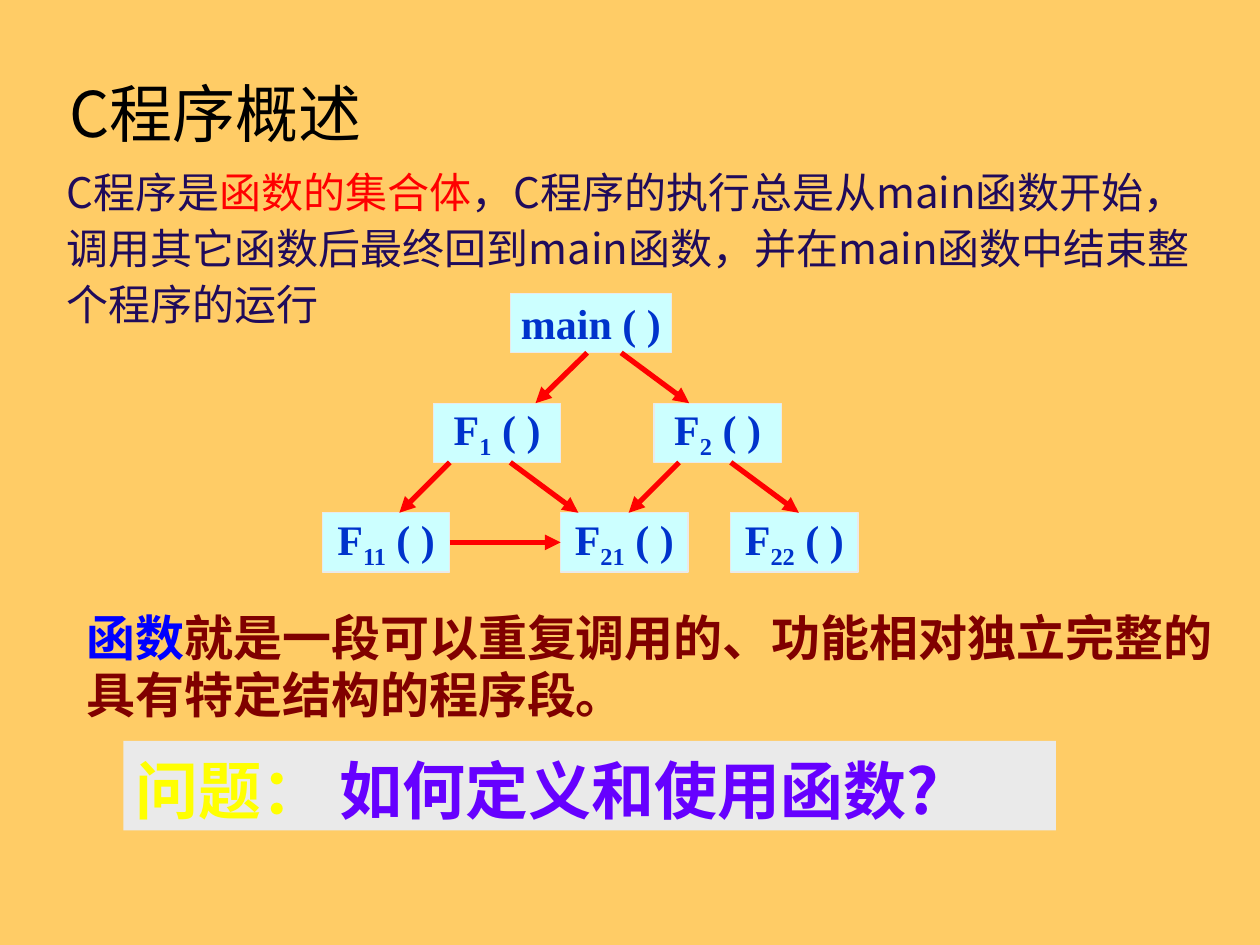
from typing import NamedTuple

from lxml.etree import SubElement
from pptx import Presentation
from pptx.dml.color import RGBColor
from pptx.enum.shapes import MSO_CONNECTOR, MSO_SHAPE
from pptx.enum.text import MSO_ANCHOR, MSO_AUTO_SIZE, PP_ALIGN
from pptx.oxml.ns import qn
from pptx.util import Inches, Pt

SAND = RGBColor(0xFF, 0xCC, 0x66)
BLACK = RGBColor(0, 0, 0)
NAVY = RGBColor(0x20, 0x0B, 0x5B)
RED = RGBColor(0xFF, 0, 0)
CYAN = RGBColor(0xCC, 0xFF, 0xFF)
GREY = RGBColor(0xEA, 0xEA, 0xEA)
BLUE = RGBColor(0x00, 0x33, 0xCC)
PURE_BLUE = RGBColor(0, 0, 0xFF)
MAROON = RGBColor(0x80, 0, 0)
YELLOW = RGBColor(0xFF, 0xFF, 0)
VIOLET = RGBColor(0x66, 0, 0xFF)

CJK, CJK_JP, SERIF = "Noto Sans CJK SC", "Noto Sans CJK JP", "Times New Roman"
NODE_H = 0.47
ROW_TOPS = [2.33 + 0.87 * i for i in range(3)]


class Node(NamedTuple):
    left: float
    row: int
    name: str
    sub: str = ""
    width: float = 1.01


class Call(NamedTuple):
    x1: float
    x2: float
    row: int


NODES = [
    Node(4.05, 0, "main", width=1.28),
    Node(3.44, 1, "F", "1"),
    Node(5.19, 1, "F", "2"),
    Node(2.56, 2, "F", "11"),
    Node(4.45, 2, "F", "21"),
    Node(5.8, 2, "F", "22"),
]
CALLS = [
    Call(4.66, 4.25, 0),
    Call(4.93, 5.47, 0),
    Call(3.57, 3.17, 1),
    Call(4.05, 4.59, 1),
    Call(5.39, 4.99, 1),
    Call(5.8, 6.34, 1),
]


def inches(*values: float) -> list:
    return [Inches(v) for v in values]


def set_format(target, values: dict) -> None:
    for name, value in values.items():
        setattr(target, name, value)


def add_run(p, text: str, color: RGBColor, size: int, face: str, bold: bool = False):
    r = p.add_run()
    r.text = text
    set_format(r.font, {"size": Pt(size), "bold": bold, "name": face})
    r.font.color.rgb = color
    SubElement(r.font._element, qn("a:ea")).set("typeface", face)
    return r


def style_shape(sp, fill: RGBColor) -> None:
    sp.shadow.inherit = False
    sp.fill.solid()
    sp.fill.fore_color.rgb = fill


def add_node(s, node: Node):
    sp = s.shapes.add_shape(
        MSO_SHAPE.RECTANGLE,
        *inches(node.left, ROW_TOPS[node.row], node.width, NODE_H))
    style_shape(sp, CYAN)
    sp.line.color.rgb = GREY
    sp.line.width = Pt(0.75)
    tf = sp.text_frame
    set_format(tf, {
        "margin_left": Inches(0.06), "margin_right": Inches(0.06),
        "margin_top": 0, "margin_bottom": Inches(0.01),
        "word_wrap": False, "vertical_anchor": MSO_ANCHOR.MIDDLE})
    p = tf.paragraphs[0]
    p.alignment = PP_ALIGN.CENTER
    add_run(p, node.name, BLUE, 24, SERIF, True)
    if node.sub:
        r = add_run(p, node.sub, BLUE, 24, SERIF, True)
        r.font._element.set("baseline", "-25000")
    add_run(p, " ( )", BLUE, 24, SERIF, True)
    return sp


def add_arrow(s, x1: float, y1: float, x2: float, y2: float):
    cx = s.shapes.add_connector(MSO_CONNECTOR.STRAIGHT, *inches(x1, y1, x2, y2))
    cx.line.color.rgb = RED
    cx.line.width = Pt(3)
    SubElement(cx.line._get_or_add_ln(), qn("a:tailEnd")).set("type", "triangle")
    SubElement(cx._element.spPr, qn("a:effectLst"))
    return cx


def write_text(sp, runs: list, size: int, line_pt: int, anchor, bold: bool) -> None:
    tf = sp.text_frame
    set_format(tf, {"word_wrap": True, "vertical_anchor": anchor})
    p = tf.paragraphs[0]
    set_format(p, {"alignment": PP_ALIGN.LEFT, "line_spacing": Pt(line_pt)})
    for text, color, face in runs:
        add_run(p, text, color, size, face, bold)


def main() -> None:
    prs = Presentation()
    prs.slide_width, prs.slide_height = inches(10, 7.5)
    s = prs.slides.add_slide(prs.slide_layouts[5])
    s.background.fill.solid()
    s.background.fill.fore_color.rgb = SAND

    title = s.shapes.title
    set_format(title, dict(zip(("left", "top", "width", "height"),
                               inches(0.45, 0.53, 9, 0.72))))
    tf = title.text_frame
    set_format(tf, {"vertical_anchor": MSO_ANCHOR.MIDDLE,
                    "auto_size": MSO_AUTO_SIZE.NONE})
    tf.paragraphs[0].alignment = PP_ALIGN.LEFT
    add_run(tf.paragraphs[0], "C程序概述", BLACK, 36, CJK)

    intro = s.shapes.add_textbox(*inches(0.43, 1.23, 9.37, 1.5))
    write_text(intro, [
        ("C程序是", NAVY, CJK),
        ("函数的集合体", RED, CJK),
        ("，C程序的执行总是从main函数开始，调用其它函数后最终回到main函数，"
         "并在main函数中结束整个程序的运行", NAVY, CJK),
    ], 24, 32, MSO_ANCHOR.TOP, False)

    boxes = {node.name + node.sub: add_node(s, node) for node in NODES}
    for call in CALLS:
        add_arrow(s, call.x1, ROW_TOPS[call.row] + NODE_H,
                  call.x2, ROW_TOPS[call.row + 1])
    level = ROW_TOPS[2] + NODE_H / 2
    cx = add_arrow(s, 3.57, level, 4.45, level)
    cx.begin_connect(boxes["F11"], 3)
    cx.end_connect(boxes["F21"], 1)

    definition = s.shapes.add_textbox(*inches(0.59, 4.77, 9.17, 1.03))
    write_text(definition, [
        ("函数", PURE_BLUE, CJK),
        ("就是一段可以重复调用的、功能相对独立完整的具有特定结构的程序段。", MAROON, CJK),
    ], 28, 33, MSO_ANCHOR.MIDDLE, True)

    question = s.shapes.add_shape(MSO_SHAPE.RECTANGLE, *inches(0.98, 5.88, 7.4, 0.71))
    style_shape(question, GREY)
    question.line.fill.background()
    write_text(question, [
        ("问题： ", YELLOW, CJK),
        ("如何定义和使用函数?", VIOLET, CJK_JP),
    ], 36, 46, MSO_ANCHOR.TOP, True)

    prs.save("out.pptx")


if __name__ == "__main__":
    main()
